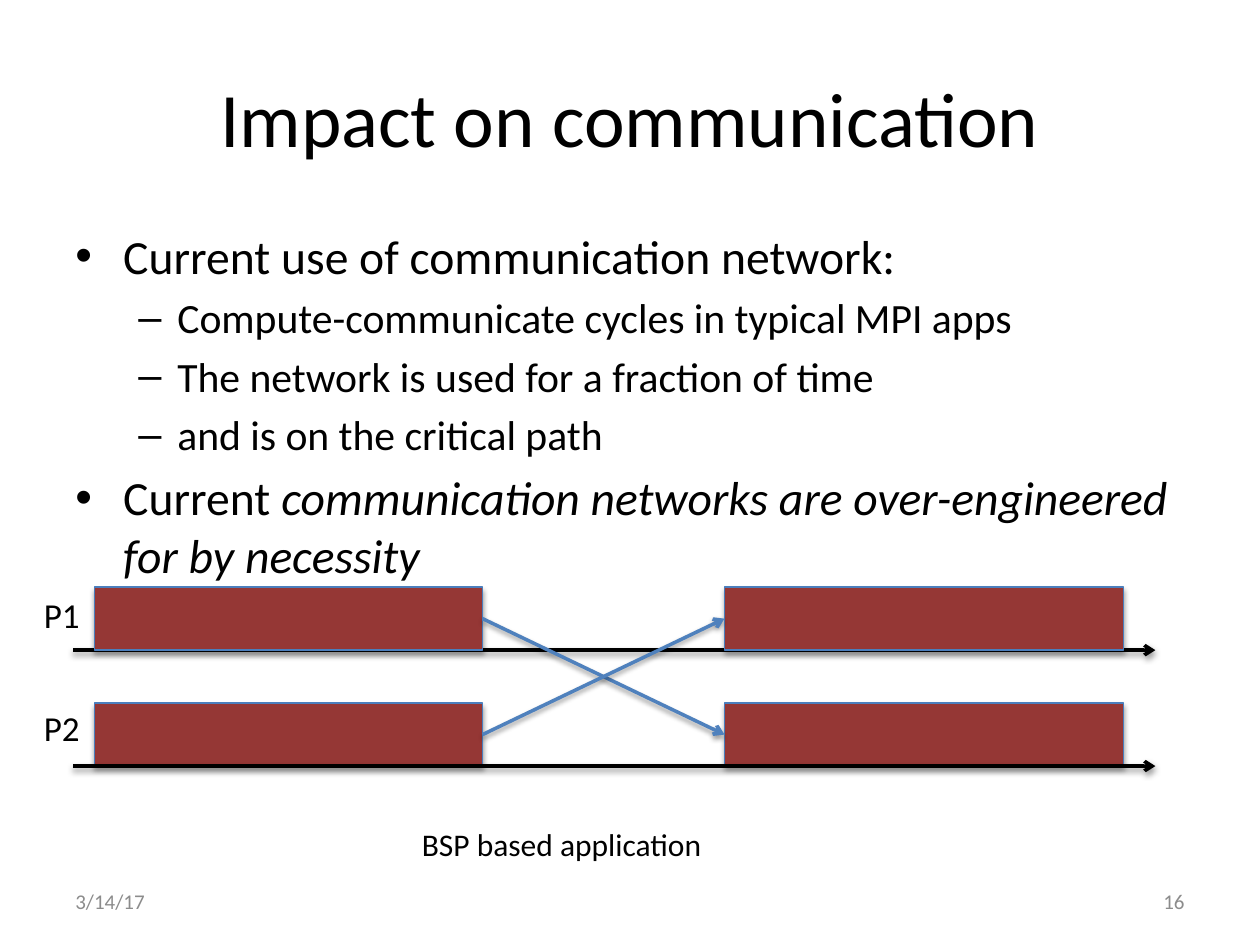
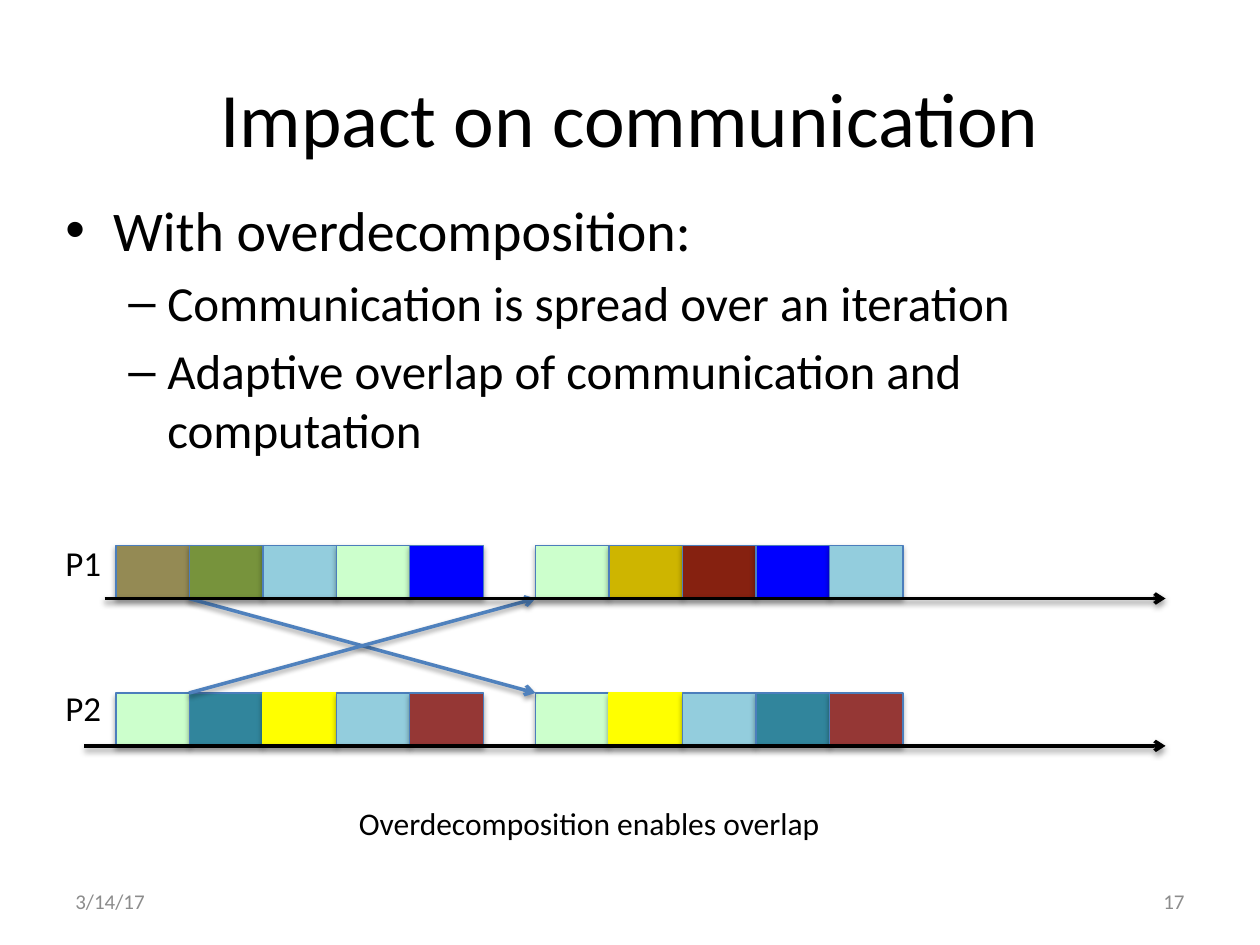
from dataclasses import dataclass
from lxml.etree import SubElement
from pptx import Presentation
from pptx.dml.color import RGBColor
from pptx.enum.shapes import MSO_CONNECTOR, MSO_SHAPE
from pptx.enum.text import MSO_ANCHOR, PP_ALIGN
from pptx.oxml.ns import qn
from pptx.util import Inches, Pt


@dataclass(frozen=True)
class Theme:
    font: str = "Calibri"
    ink: str = "000000"
    grey: str = "8C8C8C"
    edge: str = "4B7EBC"
    link: str = "4F81BD"
    red: str = "953735"
    mint: str = "CCFFCC"
    sky: str = "93CDDD"
    teal: str = "31859C"
    blue: str = "0000FF"
    yellow: str = "FFFF00"
    tan: str = "948A54"
    green: str = "77933C"
    gold: str = "CEB500"
    rust: str = "862110"
    title: float = 44
    label: float = 20
    note: float = 18
    small: float = 12


T = Theme()
CELL = 1.75 / 3
LEVELS = [("•", 0.38, 0.38), ("–", 0.81, 0.31)]


def assign(target, values):
    for name, value in values.items():
        setattr(target, name, value)


def add_run(para, text, size, color=T.ink, **extra):
    run = para.add_run()
    run.text = text
    assign(run.font, {"name": T.font, "size": Pt(size), **extra})
    run.font.color.rgb = RGBColor.from_string(color)


def add_frame(slide, place, **extra):
    box = slide.shapes.add_textbox(*map(Inches, place))
    assign(box.text_frame, {"word_wrap": True, **extra})
    return box.text_frame


def add_text(slide, place, text, size, color=T.ink,
             align=PP_ALIGN.LEFT, anchor=MSO_ANCHOR.TOP):
    frame = add_frame(slide, place, vertical_anchor=anchor)
    para = frame.paragraphs[0]
    para.alignment = align
    add_run(para, text, size, color)


def add_body(slide, place, sizes, items):
    frame = add_frame(slide, place)
    for index, (level, text, stress) in enumerate(items):
        para = frame.add_paragraph() if index else frame.paragraphs[0]
        mark, left, hang = LEVELS[level]
        size = sizes[level]
        assign(para, {"level": level, "space_before": Pt(size * 0.2)})
        props = para._p.get_or_add_pPr()
        props.set("marL", str(Inches(left)))
        props.set("indent", str(-Inches(hang)))
        SubElement(props, qn("a:buFont"), typeface="Arial")
        SubElement(props, qn("a:buChar"), char=mark)
        add_run(para, text, size)
        if stress:
            add_run(para, stress, size, italic=True)


def add_shadow(shape, alpha, drop):
    effects = SubElement(shape._element.spPr, qn("a:effectLst"))
    shadow = SubElement(effects, qn("a:outerShdw"), blurRad=str(Pt(3.1)),
                        dist=str(Pt(drop)), dir="5400000", rotWithShape="0")
    color = SubElement(shadow, qn("a:srgbClr"), val=T.ink)
    SubElement(color, qn("a:alpha"), val=str(alpha * 1000))


def add_block(slide, place, fill):
    block = slide.shapes.add_shape(MSO_SHAPE.RECTANGLE, *map(Inches, place))
    block.fill.solid()
    block.fill.fore_color.rgb = RGBColor.from_string(fill)
    edge = T.yellow if fill == T.yellow else T.edge
    block.line.color.rgb = RGBColor.from_string(edge)
    block.line.width = Pt(0.75)
    add_shadow(block, 35, 1.8)


def add_arrow(slide, start, end, color=T.ink):
    arrow = slide.shapes.add_connector(
        MSO_CONNECTOR.STRAIGHT, *map(Inches, (*start, *end)))
    arrow.line.color.rgb = RGBColor.from_string(color)
    arrow.line.width = Pt(2)
    SubElement(arrow.line._get_or_add_ln(), qn("a:tailEnd"), type="arrow")
    add_shadow(arrow, 38, 1.6)


def add_axis(slide, left, right, y):
    add_arrow(slide, (left, y), (right, y))


def add_cross(slide, left, right, top, low):
    add_arrow(slide, (left, top), (right, low), T.link)
    add_arrow(slide, (left, low), (right, top), T.link)


def add_cells(slide, left, top, fills):
    for index, fill in enumerate(fills):
        add_block(slide, (left + index * CELL, top, CELL, 0.42), fill)


def add_labels(slide, left, tops):
    for name, top in zip(("P1", "P2"), tops):
        add_text(slide, (left, top, 0.58, 0.44), name, T.label)


def add_slide(deck, number):
    slide = deck.slides.add_slide(deck.slide_layouts[6])
    middle = MSO_ANCHOR.MIDDLE
    add_text(slide, (0.5, 0.3, 9, 1.25), "Impact on communication",
             T.title, align=PP_ALIGN.CENTER, anchor=middle)
    add_text(slide, (0.5, 6.95, 2.33, 0.4), "3/14/17",
             T.small, T.grey, anchor=middle)
    add_text(slide, (7.17, 6.95, 2.33, 0.4), str(number),
             T.small, T.grey, PP_ALIGN.RIGHT, middle)
    return slide


def draw_cycles(deck):
    slide = add_slide(deck, 16)
    add_body(slide, (0.5, 1.75, 9.17, 2.67), (27.2, 23.8), [
        (0, "Current use of communication network:", ""),
        (1, "Compute-communicate cycles in typical MPI apps", ""),
        (1, "The network is used for a fraction of time", ""),
        (1, "and is on the critical path", ""),
        (0, "Current ",
         "communication networks are over-engineered for by necessity"),
    ])

    def add_pair(top):
        for left, width in ((0.75, 3.08), (5.75, 3.17)):
            add_block(slide, (left, top, width, 0.5), T.red)

    add_pair(5.58)
    add_axis(slide, 0.58, 9.17, 5.16)
    add_pair(4.66)
    add_cross(slide, 3.83, 5.75, 4.91, 5.83)
    add_axis(slide, 0.58, 9.17, 6.08)
    add_labels(slide, 0.25, (4.66, 5.56))
    add_text(slide, (3.25, 6.5, 3.67, 0.5), "BSP based application", T.note)


def draw_overlap(deck):
    slide = add_slide(deck, 17)
    add_body(slide, (0.42, 1.5, 9.25, 2.33), (32, 28), [
        (0, "With overdecomposition:", ""),
        (1, "Communication is spread over an iteration", ""),
        (1, "Adaptive overlap of communication and computation", ""),
    ])
    groups = [
        (0.92, 4.33, (T.tan, T.green, T.sky, T.mint, T.blue)),
        (4.25, 5.5, (T.mint, T.yellow, T.sky, T.teal, T.red)),
        (4.25, 4.33, (T.mint, T.gold, T.rust, T.blue, T.sky)),
        (0.92, 5.5, (T.mint, T.teal, T.yellow, T.sky, T.red)),
    ]
    for group in groups:
        add_cells(slide, *group)
    add_cross(slide, 1.5, 4.25, 4.75, 5.5)
    add_axis(slide, 0.83, 9.25, 4.75)
    add_axis(slide, 0.67, 9.25, 5.92)
    add_labels(slide, 0.42, (4.25, 5.4))
    add_text(slide, (2.75, 6.33, 5, 0.5),
             "Overdecomposition enables overlap", T.note)


def main():
    deck = Presentation()
    assign(deck, {"slide_width": Inches(10), "slide_height": Inches(7.5)})
    draw_cycles(deck)
    draw_overlap(deck)
    deck.save("out.pptx")


if __name__ == "__main__":
    main()
